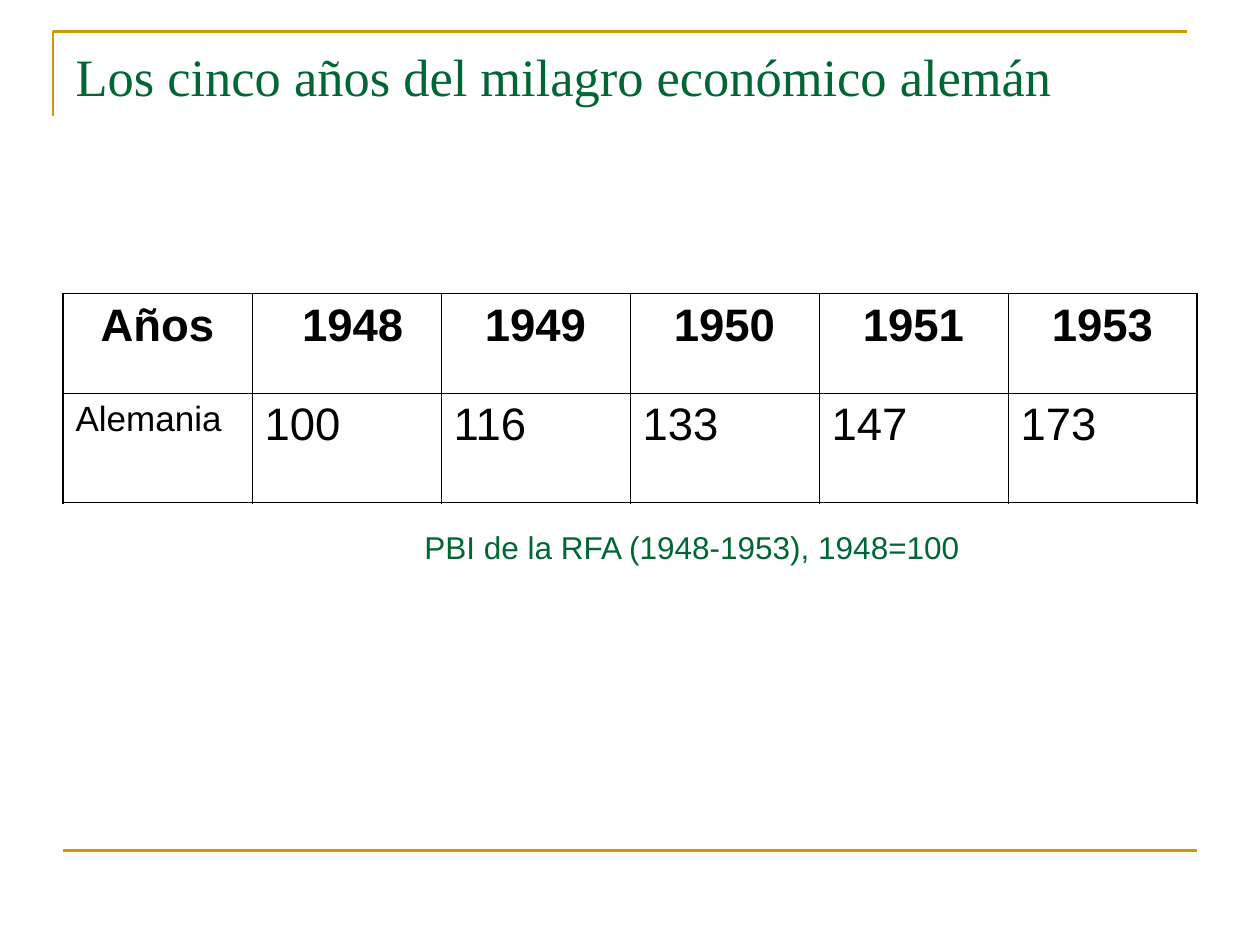
from lxml import etree
from pptx import Presentation
from pptx.dml.color import RGBColor
from pptx.enum.shapes import MSO_CONNECTOR
from pptx.enum.text import MSO_ANCHOR, PP_ALIGN
from pptx.oxml.ns import qn
from pptx.util import Inches, Pt

LEFT, CENTER = PP_ALIGN.LEFT, PP_ALIGN.CENTER
TOP = MSO_ANCHOR.TOP
STRAIGHT = MSO_CONNECTOR.STRAIGHT

COLORS = {"gold": "CC9900", "green": "006633", "black": "000000"}
FORMATS = {
    "title": {"name": "Times New Roman", "size": Pt(30), "bold": False, "color": "green"},
    "header": {"name": "Arial", "size": Pt(26), "bold": True, "color": "black"},
    "label": {"name": "Arial", "size": Pt(20), "bold": False, "color": "black"},
    "value": {"name": "Arial", "size": Pt(26), "bold": False, "color": "black"},
    "caption": {"name": "Arial", "size": Pt(18), "bold": False, "color": "green"},
}
RULE_WIDTH = Pt(1.5)
OUTER_BORDER, INNER_BORDER = Pt(1.08), Pt(0.45)

GDP_ROWS = [
    ["Años", "1948", "1949", "1950", "1951", "1953"],
    ["Alemania", "100", "116", "133", "147", "173"],
]
ROW_HEIGHTS = [0.79, 0.87]


class SlideBuilder:
    """Holds the current slide and draws each kind of element in its style."""

    def __init__(self, slide):
        self.slide = slide

    def color(self, name):
        return RGBColor.from_string(COLORS[name])

    def set_text(self, text_frame, text, style, alignment=LEFT):
        text_frame.text = text
        paragraph = text_frame.paragraphs[0]
        paragraph.alignment = alignment
        font = paragraph.runs[0].font
        for attribute, value in FORMATS[style].items():
            if attribute == "color":
                font.color.rgb = self.color(value)
            else:
                setattr(font, attribute, value)

    def place(self, shape, *box):
        for attribute, value in zip(("left", "top", "width", "height"), box):
            setattr(shape, attribute, Inches(value))

    def title(self, text, *box):
        shape = self.slide.shapes.title
        self.place(shape, *box)
        shape.text_frame.vertical_anchor = TOP
        self.set_text(shape.text_frame, text, "title")

    def caption(self, text, *box):
        shape = self.slide.shapes.add_textbox(*map(Inches, box))
        shape.text_frame.word_wrap = True
        self.set_text(shape.text_frame, text, "caption")

    def style_rule(self, shape):
        shape.line.color.rgb = self.color("gold")
        shape.line.width = RULE_WIDTH

    def rule(self, *ends):
        connector = self.slide.shapes.add_connector(STRAIGHT, *map(Inches, ends))
        self.style_rule(connector)
        etree.SubElement(connector._element.spPr, qn("a:effectLst"))

    def corner(self, *points):
        """Draw an open, unfilled outline through the points."""
        start, *others = [(Inches(x), Inches(y)) for x, y in points]
        outline = self.slide.shapes.build_freeform(*start)
        outline.add_line_segments(others, close=False)
        shape = outline.convert_to_shape()
        shape.shadow.inherit = False
        shape.fill.background()
        self.style_rule(shape)

    def border(self, cell, side, width):
        properties = cell._tc.get_or_add_tcPr()
        line = etree.SubElement(properties, qn(f"a:ln{side}"), w=str(width))
        fill = etree.SubElement(line, qn("a:solidFill"))
        etree.SubElement(fill, qn("a:srgbClr"), val=COLORS["black"])

    def table(self, rows, row_heights, *box):
        last_row, last_column = len(rows) - 1, len(rows[0]) - 1
        frame = self.slide.shapes.add_table(len(rows), len(rows[0]), *map(Inches, box))
        table = frame.table
        for row, height in zip(table.rows, row_heights):
            row.height = Inches(height)
        for i, values in enumerate(rows):
            for j, text in enumerate(values):
                cell = table.cell(i, j)
                outer = {"L": j == 0, "R": j == last_column, "T": i == 0, "B": i == last_row}
                for side, is_outer in outer.items():
                    self.border(cell, side, OUTER_BORDER if is_outer else INNER_BORDER)
                cell.fill.background()
                style = "header" if i == 0 else "label" if j == 0 else "value"
                self.set_text(cell.text_frame, text, style, CENTER if i == 0 else LEFT)
        return table


def main():
    presentation = Presentation()
    presentation.slide_width, presentation.slide_height = Inches(10), Inches(7.5)
    title_only = presentation.slide_layouts[5]
    builder = SlideBuilder(presentation.slides.add_slide(title_only))

    builder.corner((0.42, 0.92), (0.42, 0.25), (9.42, 0.25))
    builder.rule(0.5, 6.75, 9.5, 6.75)
    builder.title("Los cinco años del milagro económico alemán", 0.5, 0.3, 9, 1.25)
    table = builder.table(GDP_ROWS, ROW_HEIGHTS, 0.5, 2.33, 9, sum(ROW_HEIGHTS))
    table.cell(0, 1).margin_left = Inches(0.2)  # the base year sits slightly to the right
    builder.caption("PBI de la RFA (1948-1953), 1948=100", 3.27, 4.14, 4.49, 0.4)

    presentation.save("out.pptx")


if __name__ == "__main__":
    main()
